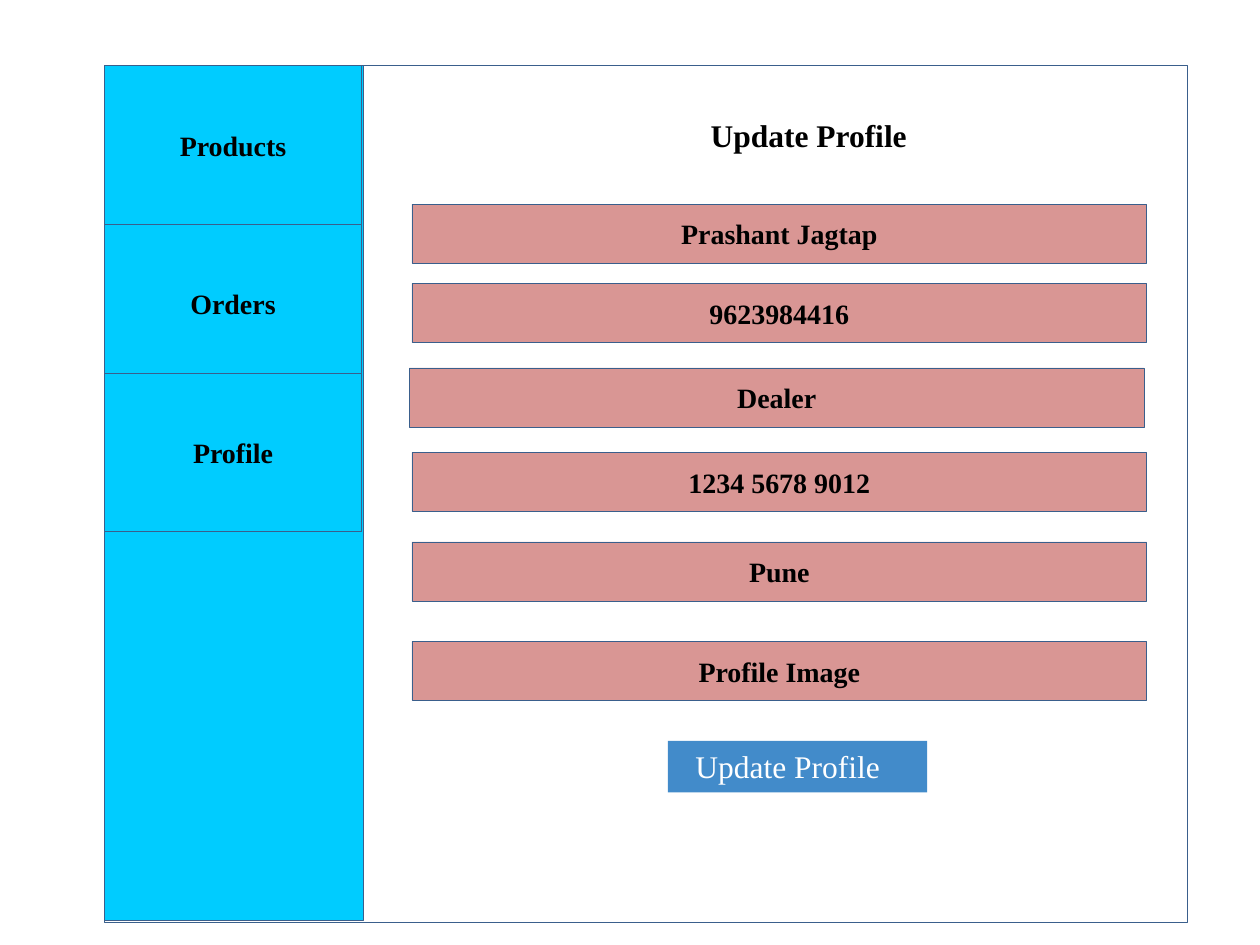
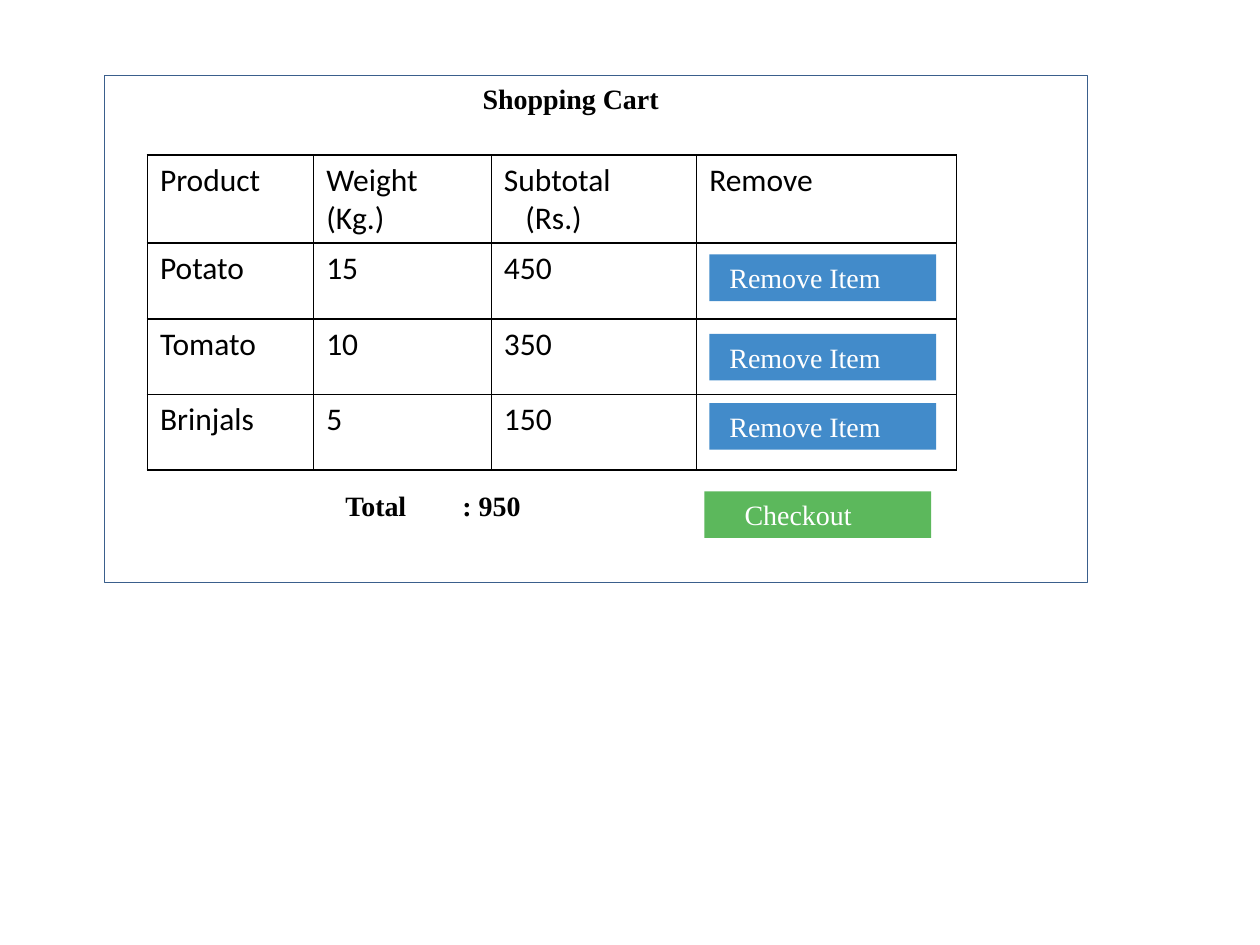
"""Builds two wireframe slides: a profile form and a shopping cart."""
from lxml import etree
from pptx import Presentation
from pptx.dml.color import RGBColor
from pptx.enum.shapes import MSO_SHAPE
from pptx.enum.text import MSO_ANCHOR, PP_ALIGN
from pptx.oxml.ns import qn
from pptx.util import Inches, Pt

RECT = MSO_SHAPE.RECTANGLE
TOP, MID = MSO_ANCHOR.TOP, MSO_ANCHOR.MIDDLE
LEFT, MIDDLE = PP_ALIGN.LEFT, PP_ALIGN.CENTER
COLS, ROWS = 100, 75
BLACK, WHITE, EDGE = "000000", "FFFFFF", "3A5F8C"
CYAN, PINK, BLUE, GREEN = "00CCFF", "D99694", "428BCA", "5CB85C"
SERIF, SANS = "Times New Roman", "Calibri"


def hue(code):
    """Turn a hex string into a colour."""
    return RGBColor.from_string(code)


class Deck:
    """Holds the style and the current slide."""

    def __init__(self):
        """Start an empty file on a grid of columns and rows."""
        self.file = Presentation()
        self.file.slide_width, self.file.slide_height = Inches(10), Inches(7.5)
        self.colw = self.file.slide_width / COLS
        self.rowh = self.file.slide_height / ROWS

    def page(self):
        """Add a blank slide and make it current."""
        self.slide = self.file.slides.add_slide(self.file.slide_layouts[6])

    def x(self, cols):
        """Give the length of some columns."""
        return round(cols * self.colw)

    def y(self, rows):
        """Give the length of some rows."""
        return round(rows * self.rowh)

    def area(self, left, top, width, height):
        """Give a place on the grid as lengths."""
        return self.x(left), self.y(top), self.x(width), self.y(height)

    def font(self, para, size, color, bold=False, face=SERIF):
        """Format the runs of a paragraph."""
        for run in para.runs:
            run.font.name, run.font.size = face, Pt(size)
            run.font.bold, run.font.color.rgb = bold, hue(color)

    def box(self, place, fill=None, edge=EDGE):
        """Draw a rectangle."""
        shape = self.slide.shapes.add_shape(RECT, *self.area(*place))
        shape.shadow.inherit = False
        if fill:
            shape.fill.solid()
            shape.fill.fore_color.rgb = hue(fill)
        else:
            shape.fill.background()
        if edge:
            shape.line.color.rgb = hue(edge)
            shape.line.width = Pt(0.25)
        else:
            shape.line.fill.background()
        return shape

    def words(self, shape, text, size, color, bold, inset):
        """Put one line of text at the top left, after an inset."""
        frame = shape.text_frame
        frame.text = text
        frame.word_wrap = True
        frame.vertical_anchor = TOP
        frame.margin_left = self.x(inset)
        para = frame.paragraphs[0]
        para.alignment = LEFT
        self.font(para, size, color, bold)
        return para

    def field(self, place, text, fill):
        """Draw a framed box with a bold centred label."""
        frame = self.box(place, fill).text_frame
        frame.text = text
        frame.vertical_anchor = MID
        para = frame.paragraphs[0]
        para.alignment = MIDDLE
        self.font(para, 16, BLACK, True)

    def button(self, place, text, inset, fill=BLUE, size=16):
        """Draw a plain filled button."""
        self.words(self.box(place, fill, None), text, size, WHITE, False, inset)

    def label(self, place, text, inset, size=16, tab=None):
        """Add a bold line of text, with a tab stop if given."""
        shape = self.slide.shapes.add_textbox(*self.area(*place))
        para = self.words(shape, text, size, BLACK, True, inset)
        if tab:
            stops = etree.SubElement(para._p.get_or_add_pPr(), qn("a:tabLst"))
            etree.SubElement(stops, qn("a:tab"), pos=str(self.x(tab)), algn="l")

    def rule(self, cell):
        """Give a cell thin black borders and no fill."""
        props = cell._tc.get_or_add_tcPr()
        for side in ("a:lnL", "a:lnR", "a:lnT", "a:lnB"):
            line = etree.SubElement(props, qn(side), w=str(Pt(1)))
            solid = etree.SubElement(line, qn("a:solidFill"))
            etree.SubElement(solid, qn("a:srgbClr"), val=BLACK)
        cell.fill.background()

    def table(self, left, top, widths, heights, data):
        """Add a ruled table."""
        place = self.area(left, top, sum(widths), sum(heights))
        grid = self.slide.shapes.add_table(len(heights), len(widths), *place).table
        grid.first_row = grid.horz_banding = False
        for col, width in zip(grid.columns, widths):
            col.width = self.x(width)
        for row, height, texts in zip(grid.rows, heights, data):
            row.height = self.y(height)
            for cell, text in zip(row.cells, texts):
                cell.text_frame.text = text
                for para in cell.text_frame.paragraphs:
                    self.font(para, 18, BLACK, face=SANS)
                self.rule(cell)
        return grid


def profile(deck):
    """Build the profile form."""
    deck.page()
    deck.box((8.3, 5.2, 85.9, 68))
    deck.box((8.3, 5.2, 20.5, 67.8), CYAN)
    for text, top in (("Products", 5.2), ("Orders", 17.8), ("Profile", 29.6)):
        deck.field((8.3, top, 20.4, 12.6), text, CYAN)
    deck.button((53, 58.8, 20.6, 4.1), "Update Profile", 2.2, size=18)
    deck.label((53.5, 8.7, 20.5, 4), "Update Profile", 2.9, 18)
    fields = (("Prashant Jagtap", 16.2), ("9623984416", 22.5), ("Dealer", 29.2),
              ("1234 5678 9012", 35.9), ("Pune", 43), ("Profile Image", 50.9))
    for text, top in fields:
        left = 32.5 if text == "Dealer" else 32.7
        deck.field((left, top, 58.3, 4.7), text, PINK)


def cart(deck):
    """Build the shopping cart."""
    deck.page()
    deck.box((8.3, 6, 78, 40.2))
    deck.label((33.5, 6, 33.1, 3.7), "Shopping Cart", 4.8)
    data = (("Product", "Weight\n(Kg.)", "Subtotal\n(Rs.)", "Remove"),
            ("Potato", "15", "450", ""),
            ("Tomato", "10", "350", ""),
            ("Brinjals", "5", "150", ""))
    grid = deck.table(11.7, 12.3, (13.2, 14.1, 16.3, 20.6), (7, 6, 6, 6), data)
    unit = grid.cell(0, 2).text_frame.paragraphs[1]
    unit._p.get_or_add_pPr().set("marL", str(deck.x(1.7)))
    for top in (20.2, 26.5, 32):
        deck.button((56.3, top, 18, 3.7), "Remove Item", 1.6)
    deck.label((20.9, 38.3, 33.1, 3.7), "Total\t: 950", 6.5, tab=9.3)
    deck.button((55.9, 39, 18, 3.7), "Checkout", 3.2, GREEN)


def main():
    """Build and save both slides."""
    deck = Deck()
    profile(deck)
    cart(deck)
    deck.file.save("out.pptx")


if __name__ == "__main__":
    main()
